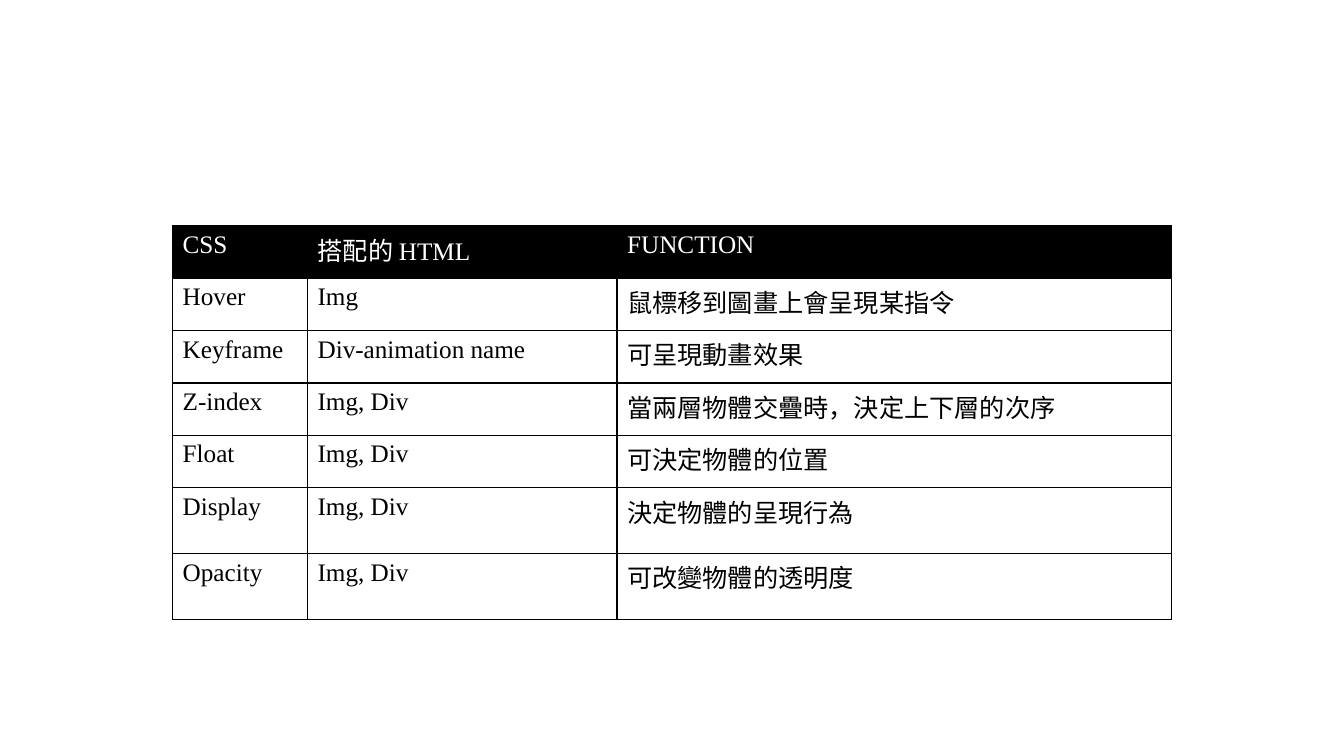
import pptx
import pptx.dml.color
import pptx.oxml
import pptx.oxml.ns
import pptx.util

Cm = pptx.util.Cm
Pt = pptx.util.Pt
BLACK = pptx.dml.color.RGBColor(0, 0, 0)
WHITE = pptx.dml.color.RGBColor(255, 255, 255)
FONT = "Times New Roman"

ROWS = [
    ("CSS", "搭配的 HTML", "FUNCTION"),
    ("Hover", "Img", "鼠標移到圖畫上會呈現某指令"),
    ("Keyframe", "Div-animation name", "可呈現動畫效果"),
    ("Z-index", "Img, Div", "當兩層物體交疊時，決定上下層的次序"),
    ("Float", "Img, Div", "可決定物體的位置"),
    ("Display", "Img, Div", "決定物體的呈現行為"),
    ("Opacity", "Img, Div", "可改變物體的透明度"),
]
WIDTHS = [Cm(3.4), Cm(7.8), Cm(13.97)]
HEIGHTS = [Cm(1.32)] * 5 + [Cm(1.66)] * 2


def add_edges(cell):
    props = cell._tc.get_or_add_tcPr()
    for side in ("lnL", "lnR", "lnT", "lnB"):
        props.append(pptx.oxml.parse_xml(
            f'<a:{side} {pptx.oxml.ns.nsdecls("a")} w="{Pt(1)}">'
            f'<a:solidFill><a:srgbClr val="{BLACK}"/></a:solidFill></a:{side}>'
        ))


def fill_cell(cell, text, head):
    add_edges(cell)
    if head:
        cell.fill.solid()
        cell.fill.fore_color.rgb = BLACK
    else:
        cell.fill.background()
    cell.text = text
    font = cell.text_frame.paragraphs[0].font
    font.name = FONT
    font.size = Pt(18)
    font.bold = False
    font.color.rgb = WHITE if head else BLACK


def add_grid(slide, left, top, width, height):
    grid = slide.shapes.add_table(
        len(ROWS), len(WIDTHS), left, top, width, height).table
    grid.horz_banding = False
    for col, size in zip(grid.columns, WIDTHS):
        col.width = size
    for row, size in zip(grid.rows, HEIGHTS):
        row.height = size
    for i, texts in enumerate(ROWS):
        for j, text in enumerate(texts):
            fill_cell(grid.cell(i, j), text, i == 0)


def main():
    deck = pptx.Presentation()
    deck.slide_width = Cm(33.87)
    deck.slide_height = Cm(19.05)
    slide = deck.slides.add_slide(deck.slide_layouts[6])
    add_grid(slide, Cm(4.35), Cm(5.69), sum(WIDTHS), sum(HEIGHTS))
    deck.save("out.pptx")


if __name__ == "__main__":
    main()
